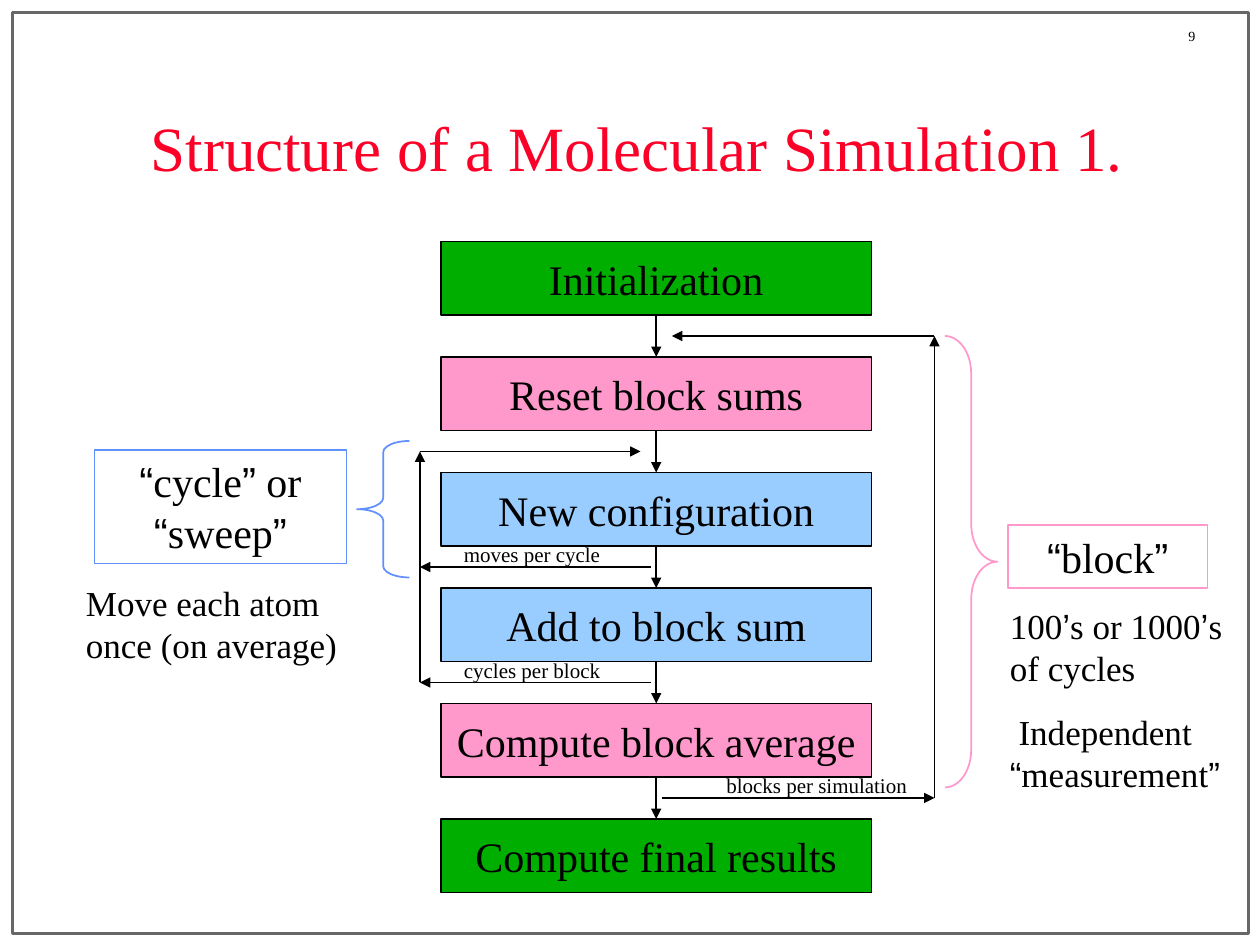
from itertools import groupby

from lxml import etree
from pptx import Presentation
from pptx.dml.color import RGBColor
from pptx.enum.shapes import MSO_CONNECTOR, MSO_SHAPE
from pptx.enum.text import MSO_ANCHOR, MSO_AUTO_SIZE, PP_ALIGN
from pptx.oxml.ns import qn
from pptx.util import Pt

RECTANGLE = MSO_SHAPE.RECTANGLE
LEFT_BRACE, RIGHT_BRACE = MSO_SHAPE.LEFT_BRACE, MSO_SHAPE.RIGHT_BRACE
STRAIGHT = MSO_CONNECTOR.STRAIGHT
TOP, MIDDLE = MSO_ANCHOR.TOP, MSO_ANCHOR.MIDDLE
LEFT, CENTER = PP_ALIGN.LEFT, PP_ALIGN.CENTER
NO_AUTO_SIZE = MSO_AUTO_SIZE.NONE

BLACK = RGBColor(0x00, 0x00, 0x00)
GRAY = RGBColor(0x67, 0x67, 0x67)
RED = RGBColor(0xFC, 0x01, 0x28)
GREEN = RGBColor(0x00, 0xAE, 0x00)
PINK = RGBColor(0xFF, 0x99, 0xCC)
LIGHT_BLUE = RGBColor(0x99, 0xCC, 0xFF)
BLUE = RGBColor(0x61, 0x8F, 0xFD)

TEXT_FONT = "Times New Roman"
QUOTE_FONT = "Arial"
QUOTES = "“”’"


class FlowSlide:
    """Holds the slide and the style of its elements; lengths are in points."""

    def __init__(self, slide):
        self.slide = slide
        self.shapes = slide.shapes

    def fill_text(self, shape, lines, size, color=BLACK, align=LEFT,
                  anchor=TOP, wrap=True, gap=0):
        frame = shape.text_frame
        frame.auto_size = NO_AUTO_SIZE
        frame.word_wrap = wrap
        frame.vertical_anchor = anchor
        for index, line in enumerate(lines):
            paragraph = frame.add_paragraph() if index else frame.paragraphs[0]
            paragraph.alignment = align
            if index:
                paragraph.space_before = Pt(gap)
            # Curly quotes have a font of their own
            for is_quote, characters in groupby(line, lambda c: c in QUOTES):
                run = paragraph.add_run()
                run.text = "".join(characters)
                run.font.name = QUOTE_FONT if is_quote else TEXT_FONT
                run.font.size = Pt(size)
                run.font.color.rgb = color

    def title(self, text, box):
        title = self.shapes.title
        title.left, title.top, title.width, title.height = map(Pt, box)
        self.fill_text(title, [text], 36, RED, CENTER, MIDDLE)

    def text(self, lines, box, size, wrap=True, gap=0):
        self.fill_text(self.shapes.add_textbox(*map(Pt, box)), lines, size,
                       wrap=wrap, gap=gap)

    def shape(self, kind, box, line, fill=None, line_width=1):
        shape = self.shapes.add_shape(kind, *map(Pt, box))
        shape.shadow.inherit = False
        if fill is None:
            shape.fill.background()
        else:
            shape.fill.solid()
            shape.fill.fore_color.rgb = fill
        shape.line.color.rgb = line
        shape.line.width = Pt(line_width)
        return shape

    def step(self, text, box, fill):
        shape = self.shape(RECTANGLE, box, BLACK, fill)
        self.fill_text(shape, [text], 24, align=CENTER, anchor=MIDDLE, wrap=False)

    def term(self, text, box, line):
        shape = self.shape(RECTANGLE, box, line)
        self.fill_text(shape, [text], 24, align=CENTER)

    def brace(self, kind, box, line):
        width, height = box[2:]
        brace = self.shape(kind, box, line)
        brace.adjustments[0] = height / 12 / width

    def arrow(self, start, end):
        arrow = self.shapes.add_connector(STRAIGHT, *map(Pt, start + end))
        arrow.line.color.rgb = BLACK
        arrow.line.width = Pt(1)
        properties = arrow.element.spPr
        line = properties.find(qn("a:ln"))
        etree.SubElement(line, qn("a:tailEnd"), type="triangle")
        etree.SubElement(properties, qn("a:effectLst"))


STEPS = [
    ("Initialization", GREEN),
    ("Reset block sums", PINK),
    ("New configuration", LIGHT_BLUE),
    ("Add to block sum", LIGHT_BLUE),
    ("Compute block average", PINK),
    ("Compute final results", GREEN),
]
STEP_LEFT, STEP_TOP, STEP_WIDTH, STEP_HEIGHT, STEP_GAP = 252, 138, 246, 42, 24
CENTER_X = STEP_LEFT + STEP_WIDTH / 2
CYCLE_X, BLOCK_X = 240, 534


def main():
    presentation = Presentation()
    presentation.slide_width, presentation.slide_height = Pt(720), Pt(540)
    flow = FlowSlide(presentation.slides.add_slide(presentation.slide_layouts[5]))

    # Frame, slide number and title
    flow.shape(RECTANGLE, (7.2, 7.2, 706.3, 526.3), GRAY, line_width=2)
    flow.text(["9"], (672, 12.2, 48, 16.6), 8, wrap=False)
    flow.title("Structure of a Molecular Simulation 1.", (54, 48, 620, 71.3))

    # Steps, joined by arrows
    tops = [STEP_TOP + i * (STEP_HEIGHT + STEP_GAP) for i in range(len(STEPS))]
    for (text, fill), top in zip(STEPS, tops):
        flow.step(text, (STEP_LEFT, top, STEP_WIDTH, STEP_HEIGHT), fill)
    for top in tops[1:]:
        flow.arrow((CENTER_X, top - STEP_GAP), (CENTER_X, top))

    # Loops, which branch halfway between steps
    block_start, cycle_start, move_end, cycle_end, block_end = (
        top - STEP_GAP / 2 for top in tops[1:])
    flow.arrow((CENTER_X - 3, move_end), (CYCLE_X, move_end))
    flow.arrow((CENTER_X - 3, cycle_end), (CYCLE_X, cycle_end))
    flow.arrow((CYCLE_X, cycle_end), (CYCLE_X, cycle_start))
    flow.arrow((CYCLE_X, cycle_start), (CENTER_X - 9, cycle_start))
    flow.arrow((CENTER_X + 3, block_end), (BLOCK_X, block_end))
    flow.arrow((BLOCK_X, block_end), (BLOCK_X, block_start))
    flow.arrow((BLOCK_X, block_start), (CENTER_X + 9, block_start))
    for text, left, width, y in (
            ("moves per cycle", 258, 95, move_end),
            ("cycles per block", 258, 95, cycle_end),
            ("blocks per simulation", 408, 132, block_end)):
        flow.text([text], (left, y - 18, width, 21.6), 12)

    # Cycle explanation
    flow.brace(LEFT_BRACE, (204, 252, 30, 78), BLUE)
    flow.term("“cycle” or “sweep”", (54, 257, 144, 65), BLUE)
    flow.text(["Move each atom once (on average)"], (42, 329, 168, 55.4), 20)

    # Block explanation
    flow.brace(RIGHT_BRACE, (540, 192, 30, 258), PINK)
    flow.term("“block”", (576, 300, 114, 36), PINK)
    flow.text(["100’s or 1000’s of cycles", " Independent “measurement”"],
              (570, 342, 150, 116), 20, gap=12.5)

    presentation.save("out.pptx")


if __name__ == "__main__":
    main()
